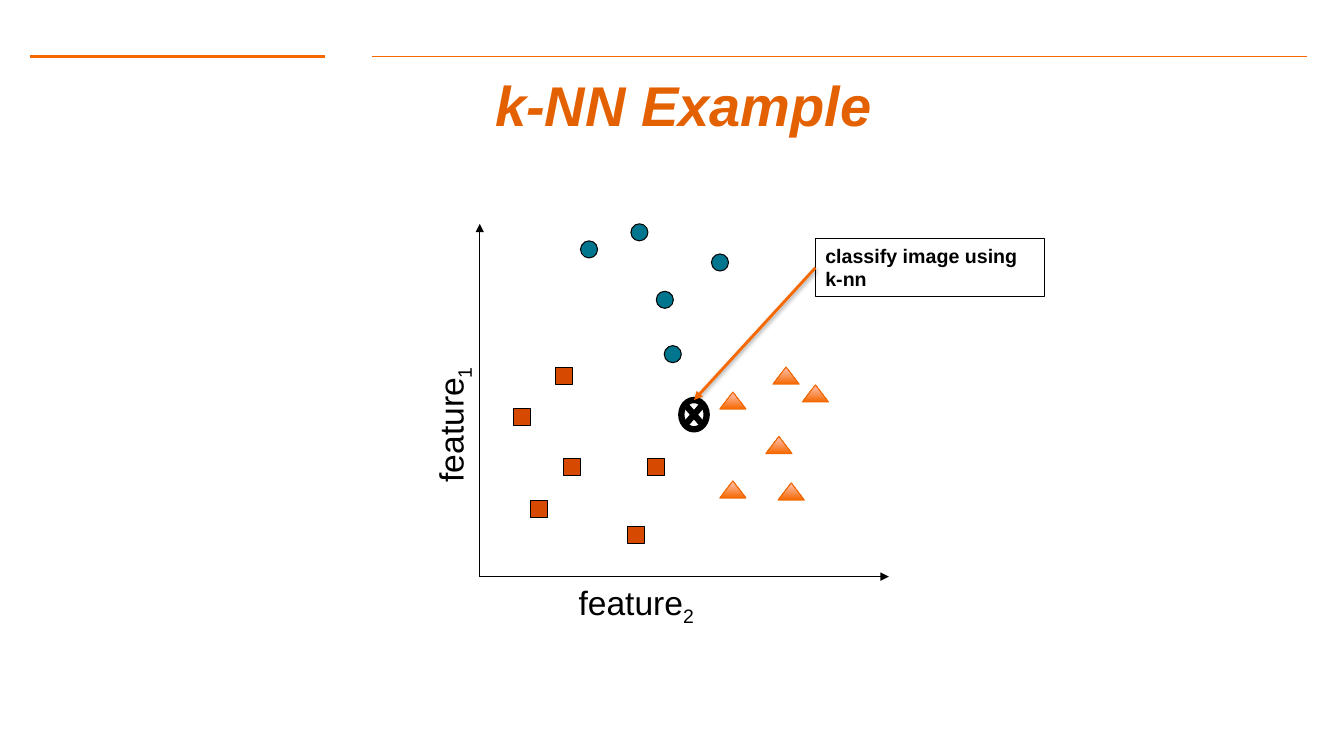
import pptx
import pptx.dml.color
import pptx.enum.shapes
import pptx.enum.text
import pptx.oxml
import pptx.oxml.ns
import pptx.util
from pptx.util import Cm

RGBColor = pptx.dml.color.RGBColor
SHAPE = pptx.enum.shapes.MSO_SHAPE
BLACK = RGBColor(0x00, 0x00, 0x00)
ORANGE = RGBColor(0xF6, 0x69, 0x00)
TITLE_ORANGE = RGBColor(0xE4, 0x61, 0x02)
TEAL = RGBColor(0x00, 0x75, 0x8E)
RUST = RGBColor(0xD6, 0x49, 0x00)
PEACH = RGBColor(0xFF, 0xC4, 0xB8)
TRIANGLE_EDGE = RGBColor(0xF1, 0x67, 0x00)

NAMESPACE = pptx.oxml.ns.nsdecls("a")
ARROWHEAD = f'<a:tailEnd {NAMESPACE} type="triangle"/>'
NO_EFFECT = f"<a:effectLst {NAMESPACE}/>"
SOFT_SHADOW = (
    f'<a:effectLst {NAMESPACE}><a:outerShdw blurRad="40000" dist="20000" dir="5400000" '
    'rotWithShape="0"><a:srgbClr val="000000"><a:alpha val="38000"/></a:srgbClr>'
    "</a:outerShdw></a:effectLst>"
)


def add_line(start, end, color, width, arrow=False, effect=NO_EFFECT):
    line = page.shapes.add_connector(
        pptx.enum.shapes.MSO_CONNECTOR.STRAIGHT, *map(Cm, start + end))
    line.line.color.rgb = color
    line.line.width = pptx.util.Pt(width)
    if arrow:
        line.line._get_or_add_ln().append(pptx.oxml.parse_xml(ARROWHEAD))
    line._element.spPr.append(pptx.oxml.parse_xml(effect))
    return line


def style_span(span, size, color=BLACK, bold=False):
    span.font.name = "Arial"
    span.font.size = pptx.util.Pt(size)
    span.font.color.rgb = color
    span.font.bold = bold


deck = pptx.Presentation()
deck.slide_width, deck.slide_height = Cm(33.87), Cm(19.05)
page = deck.slides.add_slide(deck.slide_layouts[6])

# Header rules and title
add_line((0.76, 1.42), (8.18, 1.42), ORANGE, 2)
add_line((9.37, 1.42), (32.94, 1.42), ORANGE, 1)

title = page.shapes.add_textbox(Cm(1.98), Cm(1.93), Cm(30.48), Cm(1.4))
frame = title.text_frame
frame.word_wrap = True
frame.vertical_anchor = pptx.enum.text.MSO_ANCHOR.MIDDLE
frame.margin_left = frame.margin_right = frame.margin_top = frame.margin_bottom = Cm(0.33)
frame.text = "k-NN Example"
para = frame.paragraphs[0]
para.alignment = pptx.enum.text.PP_ALIGN.CENTER
style_span(para.runs[0], 40, TITLE_ORANGE, bold=True)
para.runs[0].font.italic = True

# Axis labels with subscript numbers
for number, left, top, width, rotation in [
    ("1", 8.59, 9.02, 5.51, 270),
    ("2", 14.33, 14.53, 3.81, 0),
]:
    label = page.shapes.add_textbox(Cm(left), Cm(top), Cm(width), Cm(1.27))
    label.rotation = rotation
    label.text_frame.word_wrap = True
    para = label.text_frame.paragraphs[0]
    for text in ("feature", number):
        span = para.add_run()
        span.text = text
        style_span(span, 24)
    span.font._element.set("baseline", "-25000")

# Axes
origin = (12.09, 14.53)
for axis_end in [(12.09, 5.64), (22.4, 14.53)]:
    add_line(origin, axis_end, BLACK, 1, arrow=True)

# Data points of the three classes: shape, width, fill, edge, top-left corners
classes = [
    (SHAPE.OVAL, 0.43, TEAL, BLACK,
     [(17.93, 6.4), (16.74, 8.71), (16.54, 7.34), (15.9, 5.64), (14.63, 6.07)]),
    (SHAPE.RECTANGLE, 0.43, RUST, BLACK,
     [(12.93, 10.29), (16.31, 11.56), (15.82, 13.26), (14.2, 11.56),
      (13.36, 12.62), (14, 9.25)]),
    (SHAPE.ISOSCELES_TRIANGLE, 0.66, None, TRIANGLE_EDGE,
     [(18.14, 9.88), (19.48, 9.25), (19.3, 11), (20.22, 9.7),
      (18.14, 12.12), (19.61, 12.17)]),
]
for kind, width, fill, edge, corners in classes:
    for left, top in corners:
        point = page.shapes.add_shape(kind, Cm(left), Cm(top), Cm(width), Cm(0.43))
        point.shadow.inherit = False
        point.line.color.rgb = edge
        point.line.width = pptx.util.Pt(0.75)
        if fill is not None:
            point.fill.solid()
            point.fill.fore_color.rgb = fill
        else:
            point.fill.gradient()
            point.fill.gradient_angle = 90
            for stop, color in zip(point.fill.gradient_stops, (ORANGE, PEACH)):
                stop.color.rgb = color

# Query point, its callout and the arrow between them
query = page.shapes.add_shape(
    SHAPE.FLOWCHART_SUMMING_JUNCTION, Cm(17.17), Cm(10.08), Cm(0.64), Cm(0.74))
callout = page.shapes.add_shape(SHAPE.RECTANGLE, Cm(20.55), Cm(6.02), Cm(5.77), Cm(1.45))
for box, width in [(query, 4.5), (callout, 0.75)]:
    box.shadow.inherit = False
    box.fill.background()
    box.line.color.rgb = BLACK
    box.line.width = pptx.util.Pt(width)

frame = callout.text_frame
frame.word_wrap = True
frame.vertical_anchor = pptx.enum.text.MSO_ANCHOR.TOP
frame.text = "classify image using k-nn"
para = frame.paragraphs[0]
para.alignment = pptx.enum.text.PP_ALIGN.LEFT
style_span(para.runs[0], 14, bold=True)

pointer = add_line((20.55, 6.74), (17.49, 10.08), ORANGE, 2, arrow=True, effect=SOFT_SHADOW)
pointer.begin_connect(callout, 1)
pointer.end_connect(query, 0)

deck.save("out.pptx")
